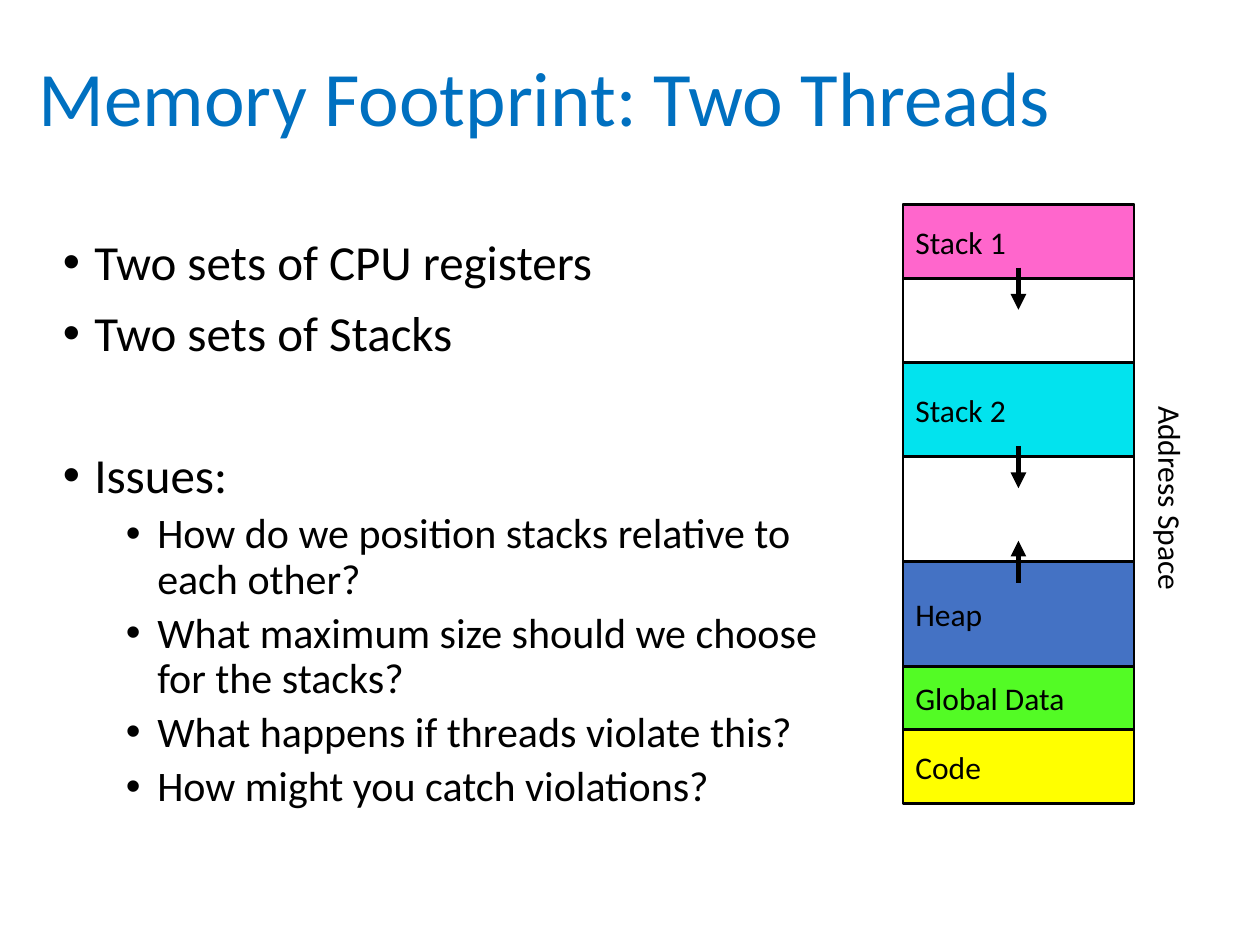
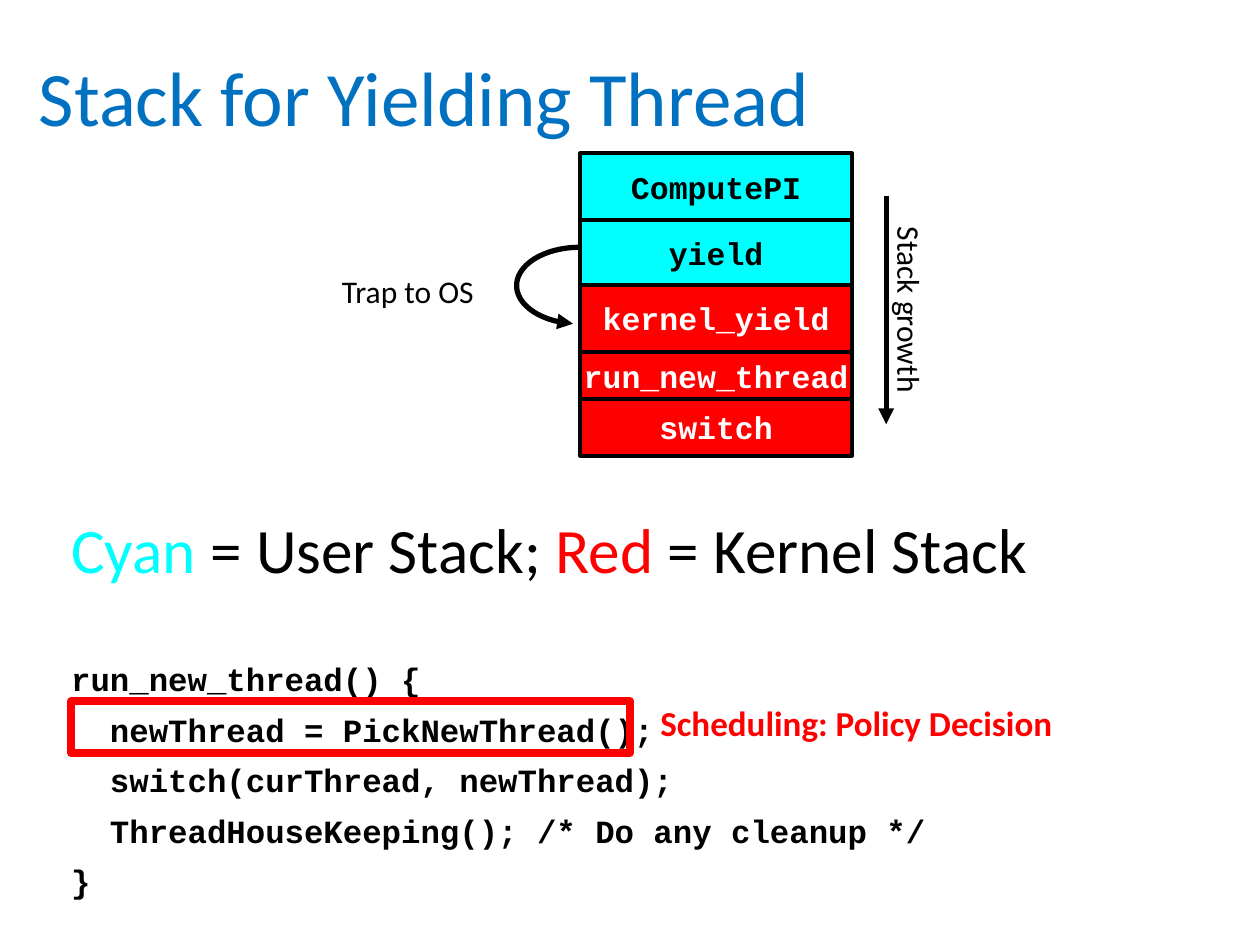
import math
import pptx
import pptx.util
import pptx.dml.color
import pptx.enum.shapes
import pptx.enum.text
import pptx.oxml.ns
import lxml.etree

# Shared look: a grid of 120 columns by 90 rows
Pt = pptx.util.Pt
color = pptx.dml.color.RGBColor.from_string
qn = pptx.oxml.ns.qn
align = pptx.enum.text.PP_ALIGN
middle = pptx.enum.text.MSO_ANCHOR.MIDDLE
rect = pptx.enum.shapes.MSO_SHAPE.RECTANGLE
straight = pptx.enum.shapes.MSO_CONNECTOR.STRAIGHT
SANS, MONO = "Calibri", "Courier New"
BLACK, WHITE, RED, CYAN, BLUE = "000000", "FFFFFF", "FF0000", "00FFFF", "0070C0"

deck = pptx.Presentation()
deck.slide_width = pptx.util.Inches(10)
deck.slide_height = pptx.util.Inches(7.5)
cell = deck.slide_width // 120


def box(slide, area, text="", fill=None, line=None, width=1.5, size=18,
        font=SANS, ink=BLACK, bold=False, side=align.LEFT, wrap=False):
    """Add a framed rectangle, or a plain text box when it has no frame."""
    frame = [round(n * cell) for n in area]
    if line:
        shape = slide.shapes.add_shape(rect, *frame)
        shape.shadow.inherit = False
        shape.line.color.rgb = color(line)
        shape.line.width = Pt(width)
        shape.text_frame.vertical_anchor = middle
        if fill:
            shape.fill.solid()
            shape.fill.fore_color.rgb = color(fill)
        else:
            shape.fill.background()
    else:
        shape = slide.shapes.add_textbox(*frame)
    shape.text_frame.word_wrap = wrap
    shape.text_frame.text = text
    for para in shape.text_frame.paragraphs:
        para.alignment = side
        for run in para.runs:
            run.font.size = Pt(size)
            run.font.name = font
            run.font.bold = bold
            run.font.color.rgb = color(ink)
    return shape


def point(arrow):
    """Give a line its black stroke and arrowhead, without a shadow."""
    arrow.line.color.rgb = color(BLACK)
    arrow.line.width = Pt(3)
    props = arrow._element.spPr
    lxml.etree.SubElement(props.find(qn("a:ln")), qn("a:tailEnd"), type="triangle")
    lxml.etree.SubElement(props, qn("a:effectLst"))


# Slides and titles
pages = []
for name in ["Memory Footprint: Two Threads", "Stack for Yielding Thread"]:
    page = deck.slides.add_slide(deck.slide_layouts[5])
    title = page.shapes.title
    title.left, title.top = round(2.5 * cell), cell
    title.width, title.height = round(103.5 * cell), round(17.4 * cell)
    title.text_frame.text = name
    title.text_frame.vertical_anchor = middle
    title.text_frame.auto_size = pptx.enum.text.MSO_AUTO_SIZE.NONE
    para = title.text_frame.paragraphs[0]
    para.alignment = align.LEFT
    para.line_spacing = 0.9
    para.runs[0].font.size = Pt(44)
    para.runs[0].font.name = SANS
    para.runs[0].font.color.rgb = color(BLUE)
    pages.append(page)
memory, stack = pages

# Slide 1: bullets as text, level, space before
points = [
    ("Two sets of CPU registers", 0, 0),
    ("Two sets of Stacks", 0, 10),
    ("Issues:", 0, 51),
    ("How do we position stacks relative to \veach other?", 1, 5),
    ("What maximum size should we choose\vfor the stacks?", 1, 5),
    ("What happens if threads violate this?", 1, 5),
    ("How might you catch violations?", 1, 5),
]
body = box(memory, (4.8, 22.1, 107, 67), "\n".join(p[0] for p in points),
           size=28, wrap=True)
for para, (text, level, gap) in zip(body.text_frame.paragraphs, points):
    props = para._p.get_or_add_pPr()
    props.set("marL", str((3 + 6 * level) * cell))
    props.set("indent", str(-3 * cell))
    lxml.etree.SubElement(props, qn("a:buFont"), typeface="Arial")
    lxml.etree.SubElement(props, qn("a:buChar"), char="•")
    para.level = level
    para.line_spacing = 0.9
    para.space_before = Pt(gap)
    for run in para.runs:
        run.font.size = Pt(28 - 4 * level)

# Slide 1: address space from top to bottom, as name, rows, fill
parts = [
    ("Stack 1", 7, "FF66CC"),
    ("", 8, None),
    ("Stack 2", 9, "02E3EE"),
    ("", 10, None),
    ("Heap", 10, "4472C4"),
    ("Global Data", 6, "53FB25"),
    ("Code", 7, "FFFF00"),
]
left, wide, top = 86, 22, 19.5
box(memory, (left, top, wide, sum(p[1] for p in parts)), fill=WHITE, line=BLACK)
for name, rows, fill in parts:
    if fill:
        box(memory, (left, top, wide, rows), name, fill, BLACK, wrap=True)
    top += rows

# Slide 1: growth of the stacks and the heap
for start, end in [(25.5, 29.5), (42.5, 46.5), (55.5, 51.5)]:
    mid = (left + wide / 2) * cell
    point(memory.shapes.add_connector(
        straight, round(mid), round(start * cell), round(mid), round(end * cell)))
box(memory, (101.4, 45.2, 20.2, 4.8), "Address Space").rotation = 90

# Slide 2: frames from top to bottom, as name, rows, fill, ink
frames = [
    ("ComputePI", 6.4, CYAN, BLACK),
    ("yield", 6.1, CYAN, BLACK),
    ("kernel_yield", 6.4, RED, WHITE),
    ("run_new_thread", 4.5, RED, WHITE),
    ("switch", 5.4, RED, WHITE),
]
left, wide, top = 55.25, 25.9, 14.6
for name, rows, fill, ink in frames:
    box(stack, (left, top, wide, rows), name, fill, BLACK, 2.25,
        font=MONO, ink=ink, bold=True, side=align.CENTER)
    top += rows

# Slide 2: growth arrow and its label
point(stack.shapes.add_connector(
    straight, round(84.4 * cell), round(18.7 * cell),
    round(84.4 * cell), round(40.4 * cell)))
box(stack, (77.4, 27.1, 18.5, 4.8), "Stack growth", side=align.CENTER).rotation = 90

# Slide 2: trap into the kernel, along half an ellipse
curve = []
for step in range(31):
    turn = math.radians(270 - 5.8 * step)
    curve.append((round((55.2 + 6 * math.cos(turn)) * cell),
                  round((27.2 + 3.65 * math.sin(turn)) * cell)))
path = stack.shapes.build_freeform(*curve[0])
path.add_line_segments(curve[1:], close=False)
trap = path.convert_to_shape()
trap.fill.background()
point(trap)
box(stack, (30.8, 25.3, 16.1, 4.8), "Trap to OS", side=align.CENTER)

# Slide 2: colour key and code
code = """run_new_thread() {
  newThread = PickNewThread();
  switch(curThread, newThread);
  ThreadHouseKeeping(); /* Do any cleanup */
}"""
text = box(stack, (5.6, 49.1, 102.1, 37.8), "\n" + code, size=18.5,
           font=MONO, bold=True, wrap=True)
paras = text.text_frame.paragraphs
for word, ink in [("Cyan", "01FFFF"), (" = User Stack; ", BLACK),
                  ("Red", RED), (" = Kernel Stack", BLACK)]:
    run = paras[0].add_run()
    run.text = word
    run.font.size = Pt(36.1)
    run.font.name = SANS
    run.font.color.rgb = color(ink)
for spot, para in enumerate(paras):
    para.line_spacing = 0.85
    para.space_before = Pt({0: 0, 1: 45}.get(spot, 10))

# Slide 2: the marked line of code
box(stack, (6.8, 66.8, 53.2, 4.9), line=RED, width=4.5)
box(stack, (61.7, 66.2, 44.5, 5.3), "Scheduling: Policy Decision",
    size=20, ink=RED, bold=True)

deck.save("out.pptx")
